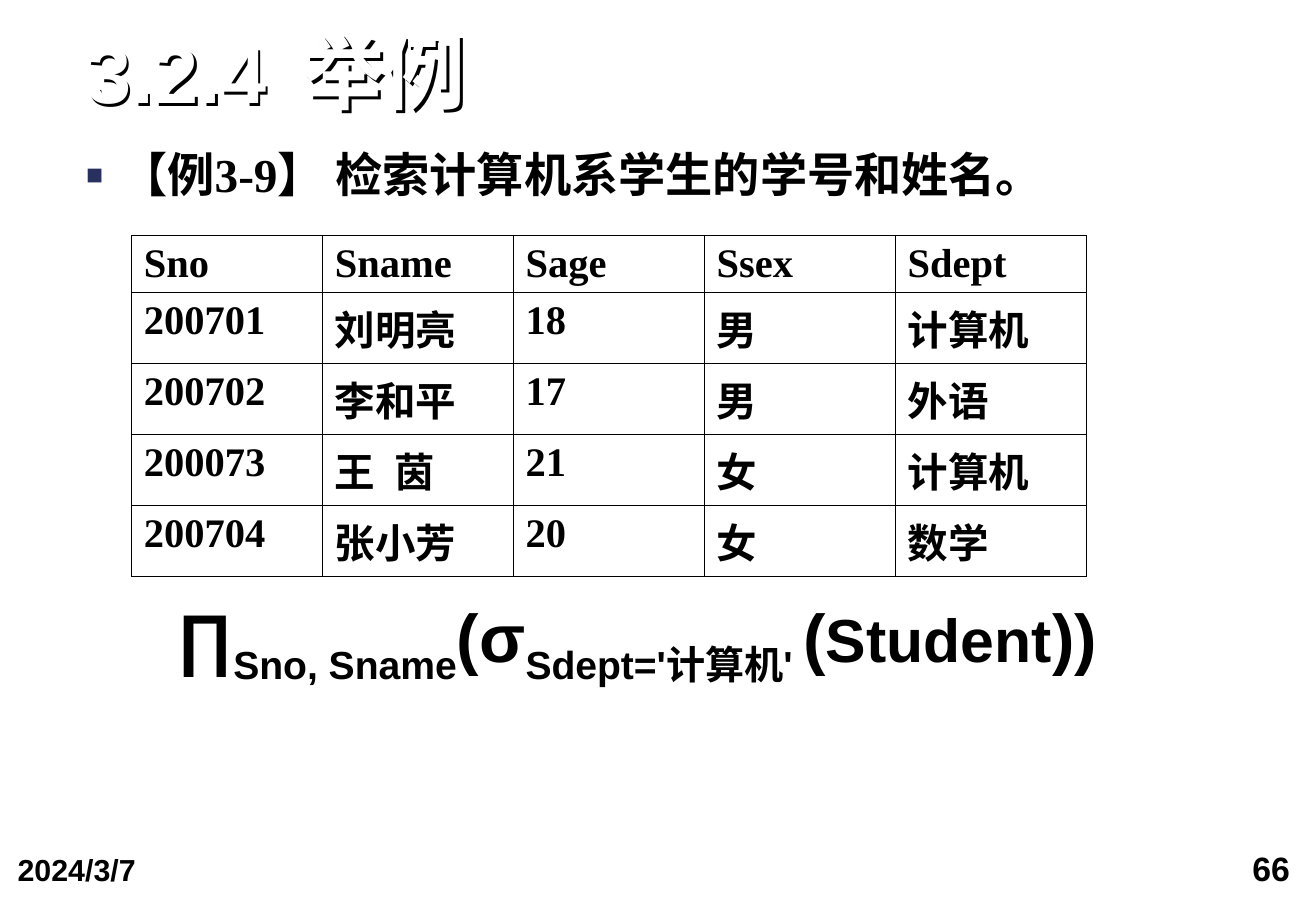
"""Builds the relational algebra example slide with its student table and query."""
from dataclasses import dataclass

from pptx import Presentation
from pptx.dml.color import RGBColor
from pptx.enum.lang import MSO_LANGUAGE_ID as Lang
from pptx.enum.text import MSO_ANCHOR as Anchor, MSO_AUTO_SIZE as AutoSize, PP_ALIGN as Align
from pptx.oxml import parse_xml
from pptx.oxml.ns import nsdecls
from pptx.util import Pt


@dataclass(frozen=True)
class Theme:
    ink: str = "000000"
    paper: str = "FFFFFF"
    bullet: str = "27305F"
    sans: str = "Arial"
    serif: str = "Times New Roman"
    title: float = 48
    body: float = 28
    cell: float = 24
    symbol: float = 40
    relation: float = 36
    date: float = 18
    number: float = 20


@dataclass(frozen=True)
class Box:
    left: float
    top: float
    width: float
    height: float

    def lengths(self) -> tuple:
        return Pt(self.left), Pt(self.top), Pt(self.width), Pt(self.height)


@dataclass(frozen=True)
class Piece:
    text: str
    size: float
    subscript: bool = False


@dataclass(frozen=True)
class Footer:
    text: str
    box: Box
    size: float
    align: Align


THEME = Theme()
STUDENTS = (
    ("Sno", "Sname", "Sage", "Ssex", "Sdept"),
    ("200701", "刘明亮", "18", "男", "计算机"),
    ("200702", "李和平", "17", "男", "外语"),
    ("200073", "王 茵", "21", "女", "计算机"),
    ("200704", "张小芳", "20", "女", "数学"),
)
QUERY = (
    Piece("∏", THEME.symbol),
    Piece("Sno, Sname", THEME.symbol, True),
    Piece("(σ", THEME.symbol),
    Piece("Sdept='计算机' ", THEME.symbol, True),
    Piece("(", THEME.symbol),
    Piece("Student", THEME.relation),
    Piece("))", THEME.symbol),
)
FOOTERS = (
    Footer("66", Box(576.7, 498.5, 197.3, 41.5), THEME.number, Align.RIGHT),
    Footer("2024/3/7", Box(1, 500.2, 180.7, 39.8), THEME.date, Align.LEFT),
)


def apply_format(target, values: dict) -> None:
    for name, value in values.items():
        setattr(target, name, value)


def add_text(paragraph, text: str, size: float, face: str, color: str = THEME.ink):
    run = paragraph.add_run()
    run.text = text
    apply_format(run.font, {"size": Pt(size), "bold": True, "name": face,
                            "language_id": Lang.SIMPLIFIED_CHINESE})
    run.font.color.rgb = RGBColor.from_string(color)
    return run


def set_frame(frame, side: float, edge: float, **values) -> None:
    apply_format(frame, {"margin_left": Pt(side), "margin_right": Pt(side),
                         "margin_top": Pt(edge), "margin_bottom": Pt(edge),
                         "word_wrap": True, **values})


def place(shape, box: Box) -> None:
    apply_format(shape, dict(zip(("left", "top", "width", "height"), box.lengths())))


def fill_title(title) -> None:
    place(title, Box(51.1, 20.2, 694.8, 51.8))
    set_frame(title.text_frame, 0, 0, vertical_anchor=Anchor.BOTTOM,
              auto_size=AutoSize.SHAPE_TO_FIT_TEXT)
    heading = title.text_frame.paragraphs[0]
    apply_format(heading, {"alignment": Align.LEFT, "line_spacing": 0.9})
    heading._p.get_or_add_pPr().append(parse_xml(
        f'<a:tabLst {nsdecls("a")}><a:tab pos="{Pt(129)}" algn="l"/></a:tabLst>'))
    add_text(heading, "3.2.4\t举例", THEME.title, THEME.sans, THEME.paper)
    title.fill.background()
    title._element.spPr.append(parse_xml(
        f'<a:effectLst {nsdecls("a")}><a:outerShdw dist="{Pt(2)}" dir="2700000" algn="ctr" '
        f'rotWithShape="0"><a:srgbClr val="{THEME.ink}"/></a:outerShdw></a:effectLst>'))


def fill_body(body) -> None:
    place(body, Box(51.1, 90, 694.8, 30.2))
    set_frame(body.text_frame, 0, 0, auto_size=AutoSize.SHAPE_TO_FIT_TEXT)
    task = body.text_frame.paragraphs[0]
    apply_format(task, {"line_spacing": 0.9, "space_before": Pt(0)})
    properties = task._p.get_or_add_pPr()
    properties.set("marL", str(Pt(20.2)))
    properties.set("indent", str(-Pt(20.2)))
    for bullet_part in (f'buClr {nsdecls("a")}><a:srgbClr val="{THEME.bullet}"/></a:buClr>',
                        f'buSzPct {nsdecls("a")} val="60000"/>',
                        f'buFont {nsdecls("a")} typeface="{THEME.sans}"/>',
                        f'buChar {nsdecls("a")} char="■"/>'):
        properties.append(parse_xml(f"<a:{bullet_part}"))
    add_text(task, "【例3-9】 检索计算机系学生的学号和姓名。", THEME.body, THEME.serif)


def add_borders(cell) -> None:
    for side in ("lnL", "lnR", "lnT", "lnB"):
        cell._tc.get_or_add_tcPr().append(parse_xml(
            f'<a:{side} {nsdecls("a")} w="{Pt(1)}"><a:solidFill>'
            f'<a:srgbClr val="{THEME.ink}"/></a:solidFill></a:{side}>'))


def add_students(slide) -> None:
    box = Box(78.1, 139.6, 565.8, 202.2)
    students = slide.shapes.add_table(len(STUDENTS), len(STUDENTS[0]), *box.lengths()).table
    apply_format(students, {"first_row": False, "horz_banding": False})
    for index, record in enumerate(STUDENTS):
        students.rows[index].height = Pt(42.1 if index else 33.8)
        for column, value in enumerate(record):
            cell = students.cell(index, column)
            add_borders(cell)
            cell.fill.background()
            cell.margin_bottom = Pt(3.6 if index else 1)
            run = add_text(cell.text_frame.paragraphs[0], value, THEME.cell, THEME.serif)
            if " " in value:
                run._r.rPr.set("spc", "300")


def add_query(slide) -> None:
    query = slide.shapes.add_textbox(*Box(98.3, 352.5, 631.9, 55.4).lengths())
    set_frame(query.text_frame, 7.2, 3.6, vertical_anchor=Anchor.MIDDLE,
              auto_size=AutoSize.SHAPE_TO_FIT_TEXT)
    for piece in QUERY:
        run = add_text(query.text_frame.paragraphs[0], piece.text, piece.size, THEME.sans)
        if piece.subscript:
            run._r.rPr.set("baseline", "-25000")


def add_footer(slide, footer: Footer) -> None:
    frame = slide.shapes.add_textbox(*footer.box.lengths()).text_frame
    set_frame(frame, 9.4, 4.3)
    frame.paragraphs[0].alignment = footer.align
    add_text(frame.paragraphs[0], footer.text, footer.size, THEME.sans)


def main() -> None:
    deck = Presentation()
    apply_format(deck, {"slide_width": Pt(780), "slide_height": Pt(540)})
    slide = deck.slides.add_slide(deck.slide_layouts[1])
    fill_title(slide.shapes.title)
    fill_body(slide.placeholders[1])
    add_students(slide)
    add_query(slide)
    for footer in FOOTERS:
        add_footer(slide, footer)
    deck.save("out.pptx")


if __name__ == "__main__":
    main()
